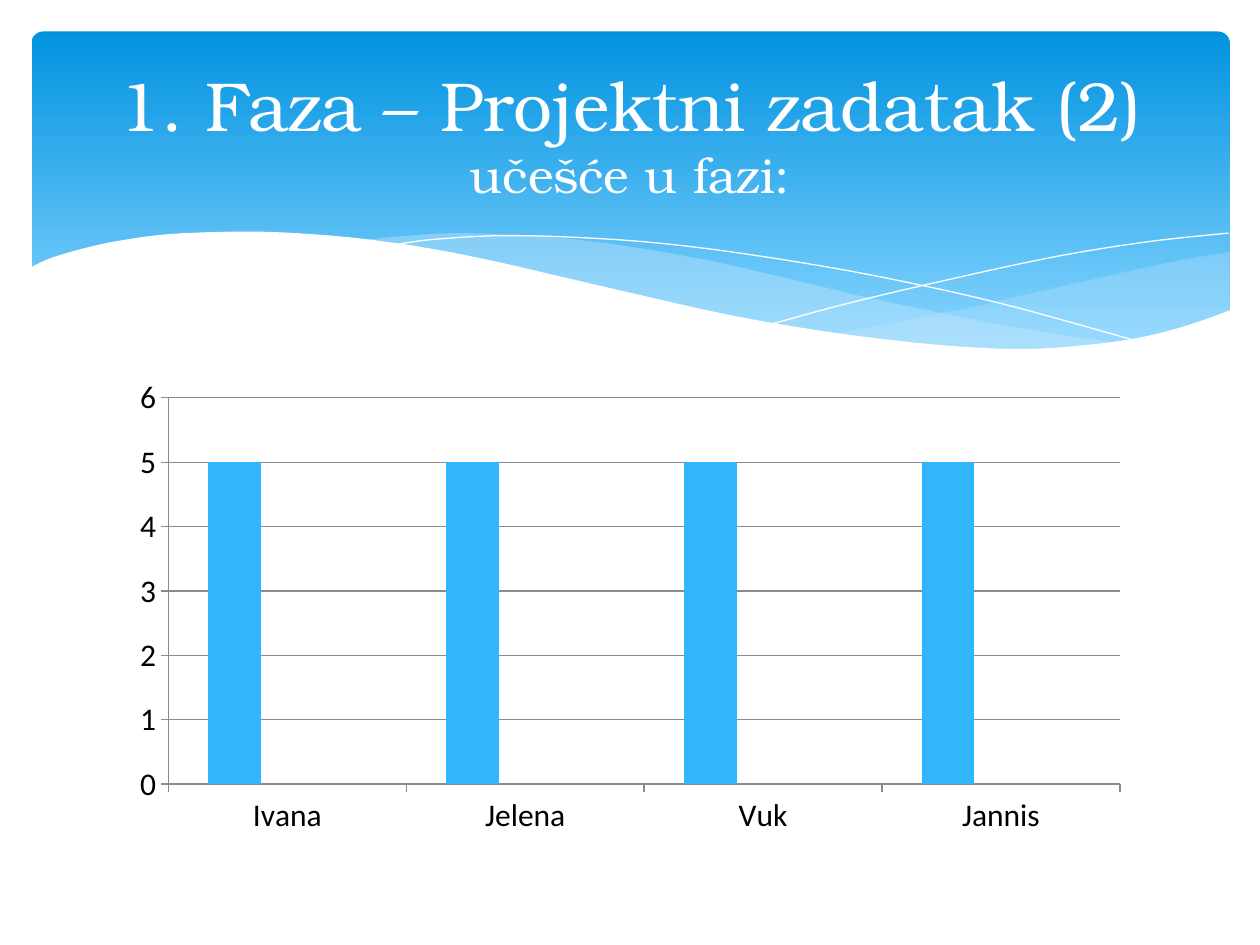
from pptx import Presentation
from pptx.chart import data as cd
from pptx.dml import color
from pptx.enum import chart as ch, shapes, text
from pptx.oxml import ns, xmlchemy as xc
from pptx.util import Pt

INCH = 72


def rgb(code):
    return color.RGBColor.from_string(code)


def set_all(target, values):
    for key, value in values.items():
        setattr(target, key, value)


def smooth(knots, steps=6):
    """Points of a Catmull-Rom curve through the knots."""
    ends = [knots[0], *knots, knots[-1]]
    curve = [knots[0]]
    for a, b, c, d in zip(ends, ends[1:], ends[2:], ends[3:]):
        for step in range(1, steps + 1):
            t = step / steps
            curve.append(tuple(
                (2 * q + (r - p) * t + (2 * p - 5 * q + 4 * r - s) * t ** 2
                 + (3 * q - p - 3 * r + s) * t ** 3) / 2
                for p, q, r, s in zip(a, b, c, d)))
    return curve


class WaveSlide:
    title_font, chart_font = "TeX Gyre Bonum", "Calibri"
    white, grey = "FFFFFF", "8B8B8B"

    def __init__(self, prs):
        self.slide = prs.slides.add_slide(prs.slide_layouts[6])
        self.shapes = self.slide.shapes

    def banner(self, box, stops, corner):
        banner = self.shapes.add_shape(
            shapes.MSO_SHAPE.ROUNDED_RECTANGLE, *map(Pt, box))
        banner.adjustments[0] = corner
        banner.shadow.inherit = False
        banner.line.fill.background()
        banner.fill.gradient()
        banner.fill.gradient_angle = 270
        for stop, (position, code) in zip(banner.fill.gradient_stops, stops):
            stop.position = position
            stop.color.rgb = rgb(code)

    def wave(self, points, fill=None, opacity=100):
        """A filled wave, or a white hairline when no fill is given."""
        start, *rest = [(Pt(x * INCH), Pt(y * INCH)) for x, y in points]
        builder = self.shapes.build_freeform(*start)
        builder.add_line_segments(rest, close=fill is not None)
        wave = builder.convert_to_shape()
        wave.shadow.inherit = False
        if fill is None:
            wave.fill.background()
            wave.line.color.rgb = rgb(self.white)
            wave.line.width = Pt(0)
            return
        wave.line.fill.background()
        wave.fill.solid()
        wave.fill.fore_color.rgb = rgb(fill)
        if opacity < 100:
            tone = wave.fill._xPr.find(".//" + ns.qn("a:srgbClr"))
            alpha = xc.OxmlElement("a:alpha")
            alpha.set("val", str(opacity * 1000))
            tone.append(alpha)

    def title(self, box, lines):
        frame = self.shapes.add_textbox(*map(Pt, box)).text_frame
        set_all(frame, {"word_wrap": True,
                        "vertical_anchor": text.MSO_ANCHOR.MIDDLE})
        heading = frame.paragraphs[0]
        heading.alignment = text.PP_ALIGN.CENTER
        for number, (words, size) in enumerate(lines):
            if number:
                heading.add_line_break()
            run = heading.add_run()
            run.text = words
            set_all(run.font, {"name": self.title_font, "size": Pt(size)})
            run.font.color.rgb = rgb(self.white)

    def columns(self, box, names, series):
        data = cd.CategoryChartData()
        data.categories = names
        for label, values, _ in series:
            data.add_series(label, values)
        chart = self.shapes.add_chart(
            ch.XL_CHART_TYPE.COLUMN_CLUSTERED, *map(Pt, box), data).chart
        set_all(chart, {"has_legend": False, "has_title": False})
        set_all(chart.font, {"name": self.chart_font, "size": Pt(18)})
        chart.font.color.rgb = rgb("000000")
        plot = chart.plots[0]
        set_all(plot, {"gap_width": 150, "overlap": 0, "vary_by_categories": False})
        for bars, (_, _, code) in zip(plot.series, series):
            bars.format.fill.solid()
            bars.format.fill.fore_color.rgb = rgb(code)
        for axis in (chart.category_axis, chart.value_axis):
            set_all(axis, {"major_tick_mark": ch.XL_TICK_MARK.OUTSIDE,
                           "minor_tick_mark": ch.XL_TICK_MARK.NONE})
            axis.format.line.color.rgb = rgb(self.grey)
        set_all(chart.value_axis, {"minimum_scale": 0, "maximum_scale": 6,
                                   "major_unit": 1, "has_major_gridlines": True})
        chart.value_axis.major_gridlines.format.line.color.rgb = rgb(self.grey)


# Wave knots, in inches
RIGHT_TOP = [(9.76, 2), (9.35, 2.07), (8.61, 2.23), (7.79, 2.42), (7.06, 2.57), (6.61, 2.65)]
RIGHT_BOTTOM = [(6.61, 2.65), (7.05, 2.71), (7.57, 2.76), (8.03, 2.78), (8.54, 2.76),
                (8.97, 2.7), (9.35, 2.62), (9.76, 2.47)]
MIDDLE_TOP = [(8.93, 2.73), (8.07, 2.6), (7.06, 2.4), (6.29, 2.22), (5.69, 2.08),
              (5.14, 1.98), (4.65, 1.91), (4.2, 1.87), (3.61, 1.85), (3.13, 1.88), (2.86, 1.91)]
MIDDLE_BOTTOM = [(2.86, 1.91), (3.42, 1.99), (4.04, 2.11), (4.91, 2.32), (5.66, 2.48),
                 (6.34, 2.61), (6.95, 2.7), (7.48, 2.76), (8.07, 2.78), (8.57, 2.77), (8.93, 2.73)]
FALLING_LINE = [(3.09, 1.95), (3.44, 1.9), (4.01, 1.87), (4.69, 1.89), (5.33, 1.94),
                (6.08, 2.04), (6.95, 2.19), (7.95, 2.41), (9.07, 2.72)]
RISING_LINE = [(6.13, 2.57), (6.72, 2.41), (7.48, 2.23), (8.36, 2.04), (9.1, 1.92), (9.75, 1.85)]
WHITE_EDGE = [(9.77, 2.46), (9.4, 2.59), (8.99, 2.69), (8.5, 2.75), (8.09, 2.77),
              (7.61, 2.75), (7.08, 2.7), (6.48, 2.62), (5.79, 2.5), (5.03, 2.33),
              (4.47, 2.2), (3.91, 2.07), (3.4, 1.97), (2.92, 1.9), (2.5, 1.86), (2.11, 1.84),
              (1.77, 1.84), (1.32, 1.86), (0.95, 1.91), (0.67, 1.97), (0.4, 2.05), (0.23, 2.13)]
WHITE_CORNERS = [(0.23, 3.29), (9.77, 3.29)]


def main():
    prs = Presentation()
    set_all(prs, {"slide_width": Pt(720), "slide_height": Pt(540)})
    page = WaveSlide(prs)

    # Banner with waves
    page.banner((18, 18, 684.7, 194.4), [(0, "0293E0"), (0.9, "83D3FE")], 0.034)
    page.wave(smooth(RIGHT_TOP) + smooth(RIGHT_BOTTOM), "C6E7FC", 29)
    page.wave(smooth(MIDDLE_TOP) + smooth(MIDDLE_BOTTOM), "C6E7FC", 40)
    for line in (FALLING_LINE, RISING_LINE):
        page.wave(smooth(line))
    page.wave(smooth(WHITE_EDGE) + WHITE_CORNERS, page.white)

    # Participation chart
    members = ["Ivana", "Jelena", "Vuk", "Jannis"]
    page.columns((68.4, 211, 583.2, 271.4), members, [
        ("Series 1", [5] * len(members), "31B6FD"),
        ("Series 2", [None] * len(members), "4584D3"),
        ("Series 3", [None] * len(members), "5BD078")])

    # Title
    page.title((36, 26.6, 648, 98.6),
               [("1. Faza – Projektni zadatak (2)", 39.6), ("učešće u fazi:", 27.9)])

    prs.save("out.pptx")


if __name__ == "__main__":
    main()
